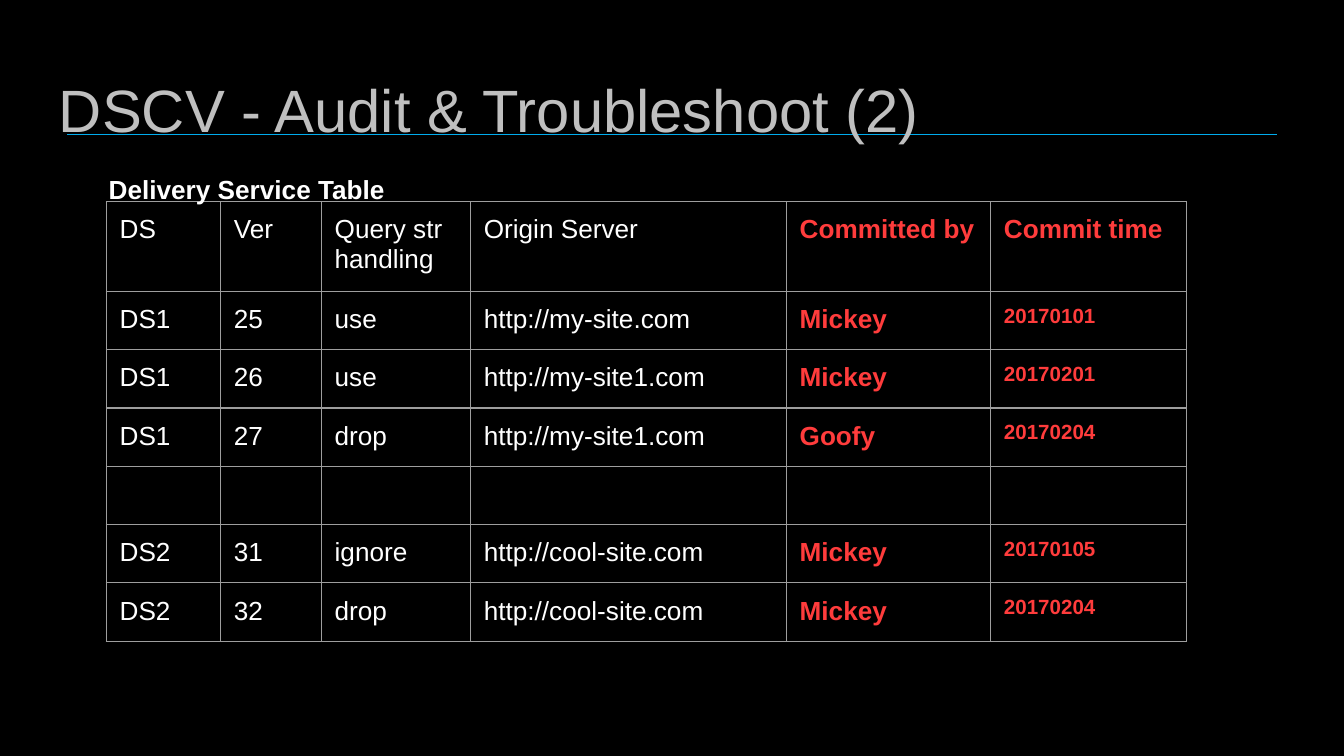
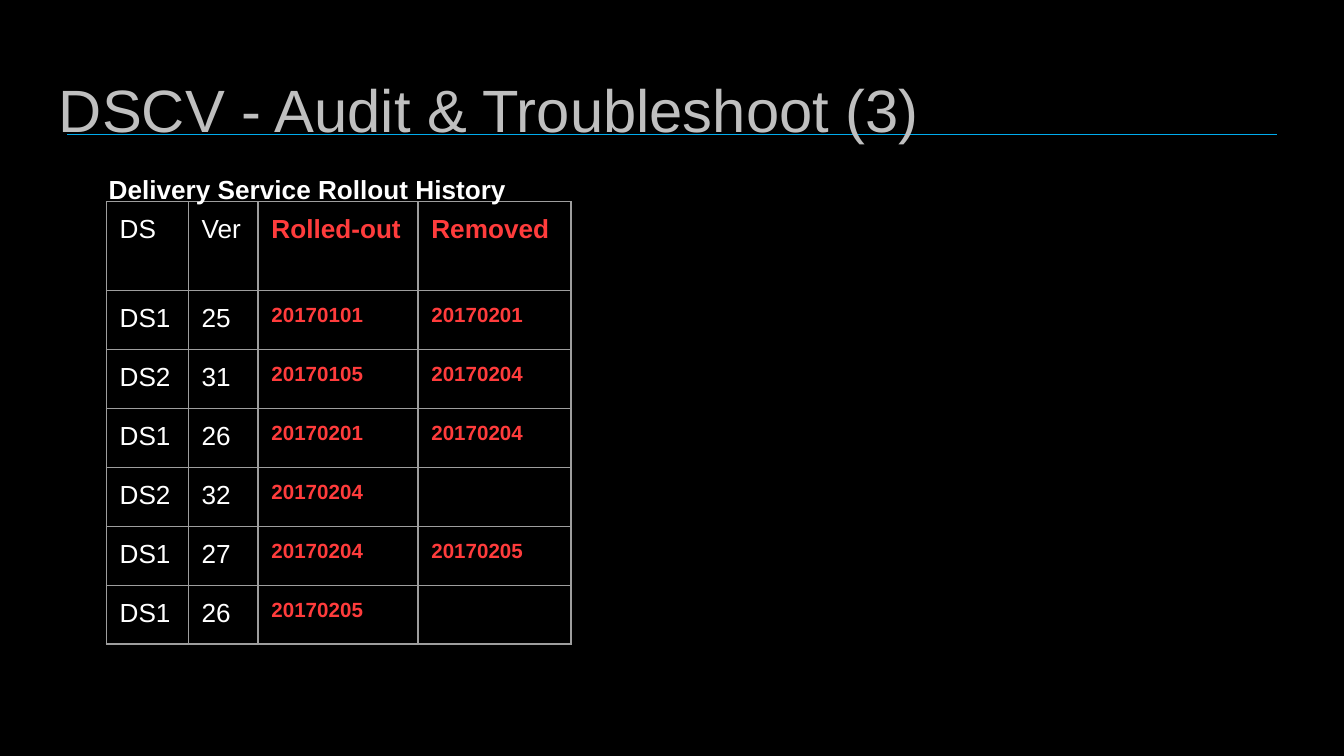
import pptx
import pptx.util
import pptx.dml.color
import pptx.enum.shapes
import pptx.enum.text
import pptx.oxml.ns
from lxml import etree

COLORS = {"back": "000000", "rule": "00ACED", "title": "BFBFBF",
          "text": "FFFFFF", "mark": "FF3C3C", "edge": "9E9E9E"}
FONT = "Arial"
WIDTH, HEIGHT = pptx.util.Inches(10), pptx.util.Inches(5.625)
UNIT = WIDTH / 100  # square grid: 100 columns across the slide
PAD = 1             # inset of every text, in grid units
BODY, SMALL = 14, 11


def grid(*cells):
    return [round(n * UNIT) for n in cells]


def rgb(name):
    return pptx.dml.color.RGBColor.from_string(COLORS[name])


def pad(obj):
    for side in ("left", "right", "top", "bottom"):
        setattr(obj, "margin_" + side, grid(PAD)[0])


def write(frame, text, size=BODY, color="text", bold=False):
    para = frame.paragraphs[0]
    if not text:  # keep an empty cell as low as a filled one
        end = etree.SubElement(para._p, pptx.oxml.ns.qn("a:endParaRPr"))
        end.set("sz", str(size * 100))
        return
    run = para.add_run()
    run.text = text
    run.font.name, run.font.size = FONT, pptx.util.Pt(size)
    run.font.bold, run.font.color.rgb = bold, rgb(color)


def label(slide, text, box, anchor="TOP", **form):
    frame = slide.shapes.add_textbox(*grid(*box)).text_frame
    frame.word_wrap = True
    frame.vertical_anchor = pptx.enum.text.MSO_ANCHOR[anchor]
    pad(frame)
    write(frame, text, **form)


def rule(slide):
    kind = pptx.enum.shapes.MSO_CONNECTOR.STRAIGHT
    line = slide.shapes.add_connector(kind, *grid(5, 10, 95, 10))
    line.line.color.rgb = rgb("rule")
    line.line.width = pptx.util.Pt(0.75)
    etree.SubElement(line._element.spPr, pptx.oxml.ns.qn("a:effectLst"))


def edge(cell):
    # Border lines come before the fill in the cell's properties
    props = cell._tc.get_or_add_tcPr()
    for i, side in enumerate("LRTB"):
        props.insert(i, pptx.oxml.parse_xml(
            f'<a:ln{side} {pptx.oxml.ns.nsdecls("a")} w="{pptx.util.Pt(0.75)}">'
            f'<a:solidFill><a:srgbClr val="{COLORS["edge"]}"/></a:solidFill>'
            f'</a:ln{side}>'))


def table(slide, rows, cols, highs):
    box = grid(7.9, 15, sum(cols), sum(highs))
    tab = slide.shapes.add_table(len(rows), len(cols), *box).table
    tab.first_row = tab.horz_banding = False
    for col, width in zip(tab.columns, grid(*cols)):
        col.width = width
    for row, high in zip(tab.rows, grid(*highs)):
        row.height = high
    for r, row in enumerate(rows):
        for c, text in enumerate(row):
            cell = tab.cell(r, c)
            cell.fill.background()
            edge(cell)
            pad(cell)
            # The last two columns are marked, and their dates are small
            mark = c >= len(cols) - 2
            date = mark and text.isdigit()
            write(cell.text_frame, text, size=SMALL if date else BODY,
                  color="mark" if mark else "text", bold=mark)


def page(deck, num, name, width, rows, cols, highs):
    slide = deck.slides.add_slide(deck.slide_layouts[6])
    fill = slide.background.fill
    fill.solid()
    fill.fore_color.rgb = rgb("back")
    rule(slide)
    label(slide, f"DSCV - Audit & Troubleshoot ({num})", (3.4, 4.9, 93.2, 6.3),
          anchor="MIDDLE", size=32, color="title")
    table(slide, rows, cols, highs)
    label(slide, name, (7.1, 11.9, width, 3.2), bold=True)


def main():
    deck = pptx.Presentation()
    deck.slide_width, deck.slide_height = WIDTH, HEIGHT

    # Versions of each delivery service
    page(deck, 2, "Delivery Service Table", 28.1, [
        ("DS", "Ver", "Query str handling", "Origin Server",
         "Committed by", "Commit time"),
        ("DS1", "25", "use", "http://my-site.com", "Mickey", "20170101"),
        ("DS1", "26", "use", "http://my-site1.com", "Mickey", "20170201"),
        ("DS1", "27", "drop", "http://my-site1.com", "Goofy", "20170204"),
        ("",) * 6,
        ("DS2", "31", "ignore", "http://cool-site.com", "Mickey", "20170105"),
        ("DS2", "32", "drop", "http://cool-site.com", "Mickey", "20170204"),
    ], (8.5, 7.5, 11.1, 23.5, 15.2, 14.6), [6.4] + [4.33] * 6)

    # Rollouts over time
    page(deck, 3, "Delivery Service Rollout History", 33.9, [
        ("DS", "Ver", "Rolled-out", "Removed"),
        ("DS1", "25", "20170101", "20170201"),
        ("DS2", "31", "20170105", "20170204"),
        ("DS1", "26", "20170201", "20170204"),
        ("DS2", "32", "20170204", ""),
        ("DS1", "27", "20170204", "20170205"),
        ("DS1", "26", "20170205", ""),
    ], (6.1, 5.2, 11.9, 11.4), [6.6] + [4.4] * 5 + [4.2])

    deck.save("out.pptx")


if __name__ == "__main__":
    main()
